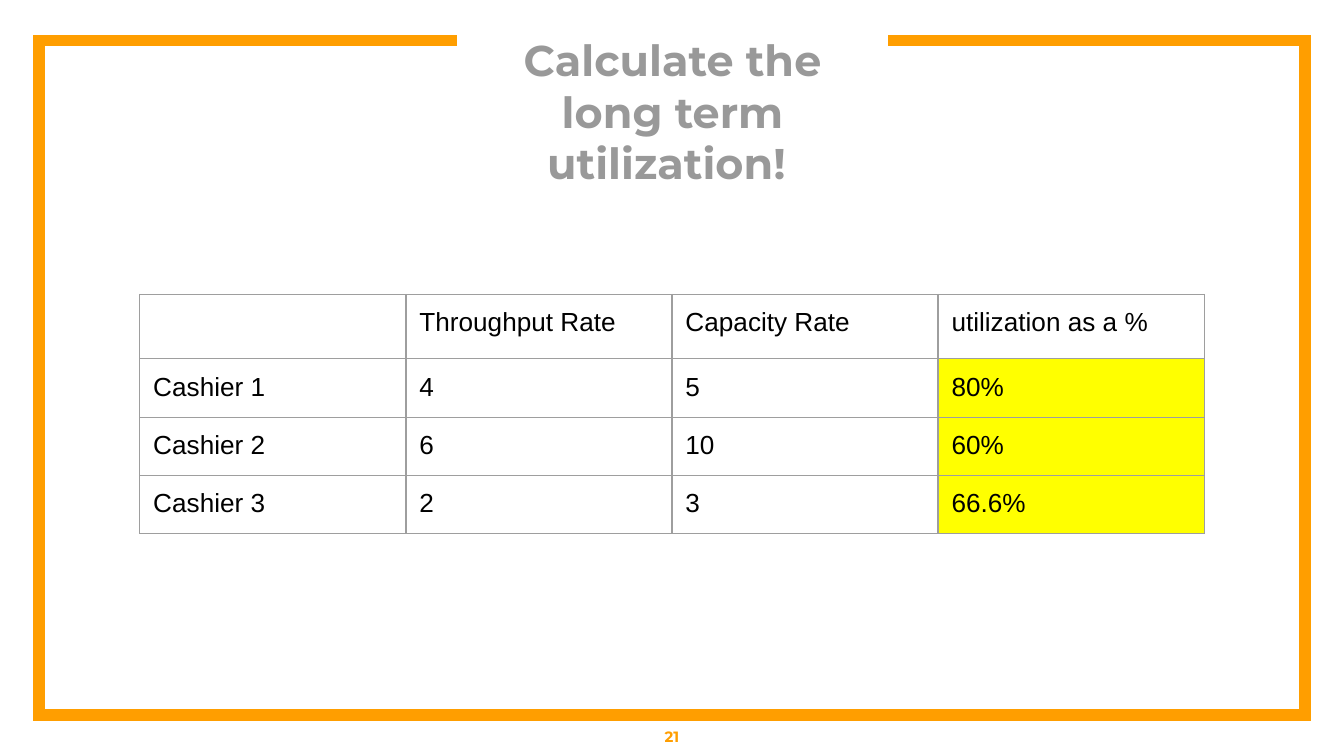
"""Build a slide with a framed title and a table of cashier utilization rates."""
from dataclasses import dataclass

from lxml import etree
from pptx import Presentation
from pptx.dml.color import RGBColor
from pptx.enum.text import MSO_ANCHOR, PP_ALIGN
from pptx.oxml.ns import qn
from pptx.util import Inches, Pt

CENTER = PP_ALIGN.CENTER
MIDDLE = MSO_ANCHOR.MIDDLE


@dataclass(frozen=True)
class Theme:
    orange: str = "FF9E00"
    title_gray: str = "999999"
    border_gray: str = "9E9E9E"
    yellow: str = "FFFF00"
    black: str = "000000"
    heading_font: str = "Montserrat"
    table_font: str = "Arial"
    title_size: int = 23
    table_size: int = 14
    number_size: int = 8


THEME = Theme()


def style_text(paragraph, font_name, size, color, bold=False):
    for run in paragraph.runs:
        run.font.name = font_name
        run.font.size = Pt(size)
        run.font.bold = bold
        run.font.color.rgb = RGBColor.from_string(color)
    paragraph_end = etree.SubElement(paragraph._p, qn("a:endParaRPr"), sz=str(size * 100))
    etree.SubElement(paragraph_end, qn("a:latin"), typeface=font_name)


def add_borders(cell):
    properties = cell._tc.get_or_add_tcPr()
    for side in ("a:lnL", "a:lnR", "a:lnT", "a:lnB"):
        line = etree.SubElement(properties, qn(side), w=str(Pt(0.75)))
        fill = etree.SubElement(line, qn("a:solidFill"))
        etree.SubElement(fill, qn("a:srgbClr"), val=THEME.border_gray)


presentation = Presentation()
presentation.slide_width = Inches(10)
presentation.slide_height = Inches(10) * 9 // 16
slide = presentation.slides.add_slide(presentation.slide_layouts[6])

left, right, top, bottom = 0.29, 9.71, 0.3, 5.32
gap_left, gap_right = 3.4, 6.61
corners = [(left, top), (left, bottom), (right, bottom), (right, top), (gap_right, top)]
builder = slide.shapes.build_freeform(Inches(gap_left), Inches(top))
builder.add_line_segments([(Inches(x), Inches(y)) for x, y in corners], close=False)
frame = builder.convert_to_shape()
frame.shadow.inherit = False
frame.fill.background()
frame.line.color.rgb = RGBColor.from_string(THEME.orange)
frame.line.width = Pt(6)
etree.SubElement(frame.line._get_or_add_ln(), qn("a:miter"), lim="800000")

labels = [
    ("Calculate the long term utilization! ", (3.55, 0.63, 2.91, 0.39), 0, THEME.title_size, THEME.title_gray),
    ("21", (0, 5.33, 10, 0.3), 0.1, THEME.number_size, THEME.orange),
]
for text, box, inset, size, color in labels:
    text_frame = slide.shapes.add_textbox(*map(Inches, box)).text_frame
    text_frame.word_wrap = True
    text_frame.vertical_anchor = MIDDLE
    text_frame.margin_left = text_frame.margin_right = Inches(inset)
    text_frame.margin_top = text_frame.margin_bottom = Inches(inset)
    text_frame.text = text
    paragraph = text_frame.paragraphs[0]
    paragraph.alignment = CENTER
    style_text(paragraph, THEME.heading_font, size, color, bold=True)

rates = [
    ("", "Throughput Rate", "Capacity Rate", "utilization as a %"),
    ("Cashier 1", "4", "5", "80%"),
    ("Cashier 2", "6", "10", "60%"),
    ("Cashier 3", "2", "3", "66.6%"),
]
column_width, header_height, row_height = 1.98, 0.48, 0.42
table_width = column_width * len(rates[0])
table_height = header_height + row_height * (len(rates) - 1)
table = slide.shapes.add_table(
    len(rates), len(rates[0]), Inches(1.04), Inches(2.19), Inches(table_width), Inches(table_height)
).table
table.first_row = False
table.horz_banding = False
for column in table.columns:
    column.width = Inches(column_width)
for row_index, values in enumerate(rates):
    table.rows[row_index].height = Inches(row_height if row_index else header_height)
    for column_index, value in enumerate(values):
        cell = table.cell(row_index, column_index)
        cell.margin_left = cell.margin_right = Inches(0.1)
        cell.margin_top = cell.margin_bottom = Inches(0.1)
        cell.text = value
        style_text(cell.text_frame.paragraphs[0], THEME.table_font, THEME.table_size, THEME.black)
        add_borders(cell)
        if row_index and column_index == len(values) - 1:
            cell.fill.solid()
            cell.fill.fore_color.rgb = RGBColor.from_string(THEME.yellow)
        else:
            cell.fill.background()

presentation.save("out.pptx")
